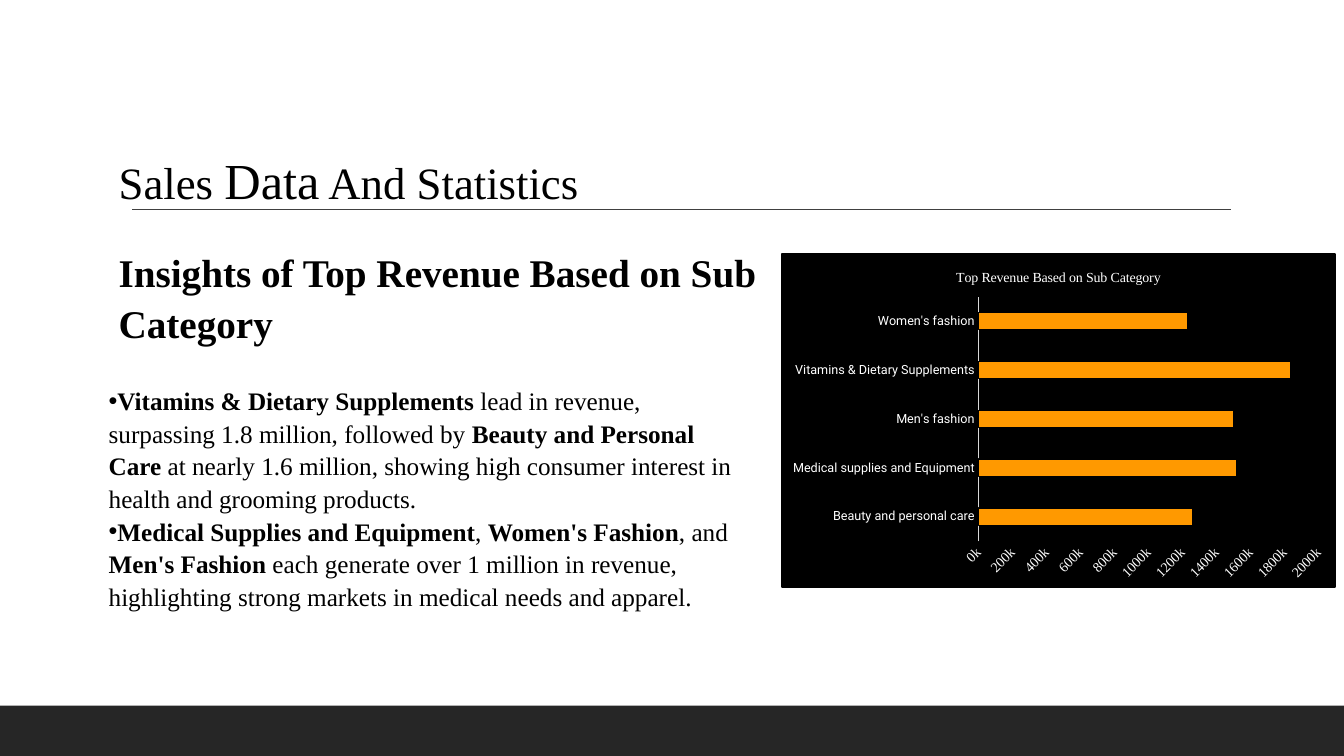
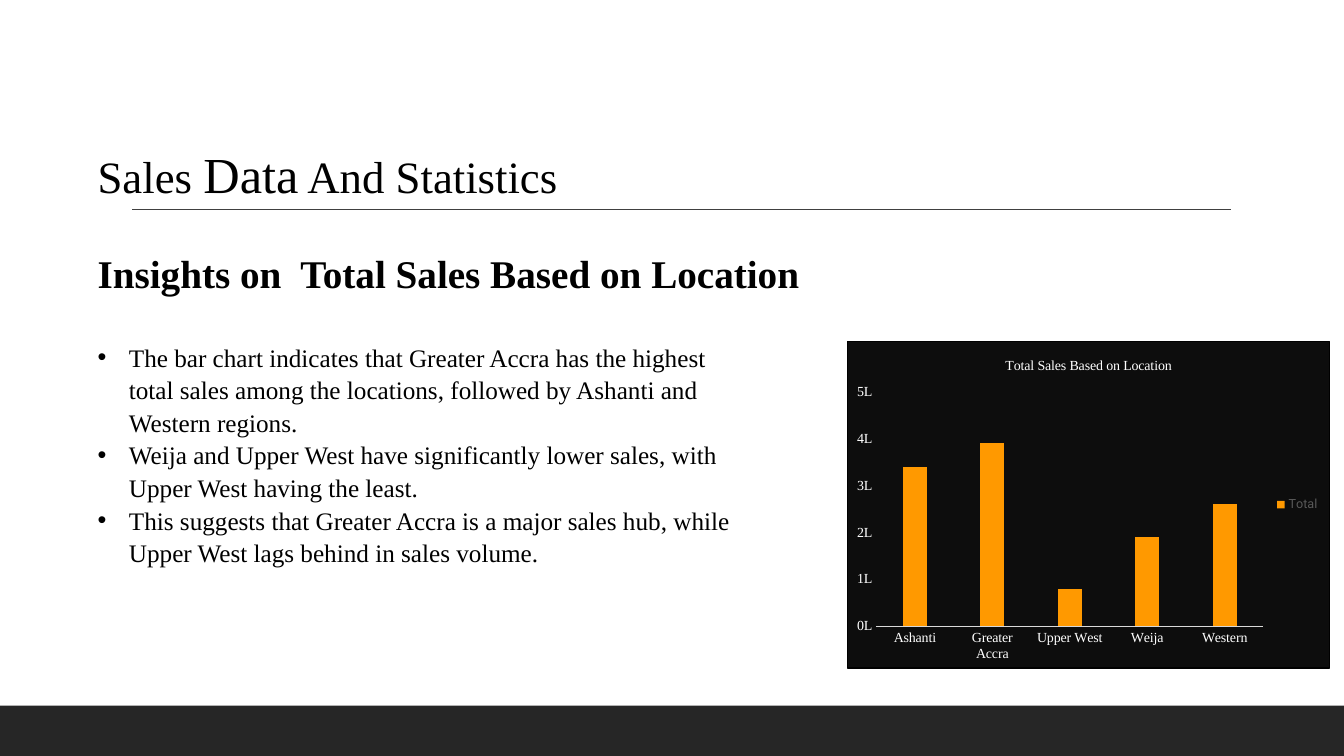
import pptx
import pptx.chart.data
import pptx.dml.color
import pptx.enum.chart
import pptx.enum.shapes
import pptx.oxml
import pptx.oxml.ns
import pptx.util
from lxml import etree

Cm = pptx.util.Cm
Pt = pptx.util.Pt
qn = pptx.oxml.ns.qn

SERIF = "Times New Roman"
SANS = "Roboto"
BLACK, WHITE, ORANGE = "000000", "FFFFFF", "FF9900"
BAND, RULE, AXIS, LEGEND = "262626", "404040", "D9D9D9", "595959"

BODY = {"name": SERIF, "size": Pt(18), "color": BLACK}
TITLE = {**BODY, "size": Pt(32)}
TITLE_LARGE = {**BODY, "size": Pt(36)}
HEADING = {**BODY, "size": Pt(28), "bold": True}
BOLD = {**BODY, "bold": True}
CHART_SERIF = {"name": SERIF, "size": Pt(10), "color": WHITE}
CHART_SANS = {**CHART_SERIF, "name": SANS, "size": Pt(9)}
CHART_BASE = {**CHART_SERIF, "name": SANS, "color": BLACK}
CHART_LEGEND = {**CHART_SANS, "color": LEGEND}


def rgb(value):
    return pptx.dml.color.RGBColor.from_string(value)


def set_font(font, values):
    for name, value in values.items():
        if name == "color":
            font.color.rgb = rgb(value)
        else:
            setattr(font, name, value)


def set_fill(fill, color):
    fill.solid()
    fill.fore_color.rgb = rgb(color)


def set_line(line, color, width):
    set_fill(line.fill, color)
    line.width = Pt(width)


def add_frame(slide):
    band = slide.shapes.add_shape(pptx.enum.shapes.MSO_SHAPE.RECTANGLE,
                                  Cm(0), Cm(17.78), Cm(33.87), Cm(1.27))
    band.shadow.inherit = False
    set_fill(band.fill, BAND)
    band.line.fill.background()
    rule = slide.shapes.add_connector(pptx.enum.shapes.MSO_CONNECTOR.STRAIGHT,
                                      Cm(3.33), Cm(5.28), Cm(31.01), Cm(5.28))
    set_line(rule.line, RULE, 1)
    etree.SubElement(rule._element.spPr, qn("a:effectLst"))


def add_bullet(paragraph, indent):
    properties = paragraph._p.get_or_add_pPr()
    properties.set("marL", str(Cm(indent)))
    properties.set("indent", str(-Cm(indent)))
    etree.SubElement(properties, qn("a:buFont"), typeface="Arial")
    etree.SubElement(properties, qn("a:buChar"), char="•")


def add_text(slide, box, paragraphs, bullet_indent=None):
    shape = slide.shapes.add_textbox(*map(Cm, box))
    frame = shape.text_frame
    frame.word_wrap = True
    for index, runs in enumerate(paragraphs):
        paragraph = frame.paragraphs[0] if index == 0 else frame.add_paragraph()
        if bullet_indent is not None:
            add_bullet(paragraph, bullet_indent)
        paragraph.line_spacing = 1.08
        for text, style in runs:
            run = paragraph.add_run()
            run.text = text
            set_font(run.font, style)


def add_title(slide, left, top):
    add_text(slide, (left, top, 16.94, 1.8),
             [[("Sales ", TITLE), ("Data", TITLE_LARGE), (" And Statistics", TITLE)]])


def set_chart_area(chart, color):
    area = pptx.oxml.parse_xml(
        f'<c:spPr {pptx.oxml.ns.nsdecls("c", "a")}>'
        f'<a:solidFill><a:srgbClr val="{color}"/></a:solidFill>'
        f'<a:ln w="{Pt(1)}"><a:solidFill><a:srgbClr val="{BLACK}"/></a:solidFill></a:ln>'
        '</c:spPr>')
    chart._chartSpace.find(qn("c:txPr")).addprevious(area)


def style_axis(axis, font):
    axis.has_major_gridlines = False
    axis.major_tick_mark = pptx.enum.chart.XL_TICK_MARK.NONE
    axis.minor_tick_mark = pptx.enum.chart.XL_TICK_MARK.NONE
    set_font(axis.tick_labels.font, font)


def add_chart(slide, box, kind, title, series_name, points, area_color,
              category_font, number_format, maximum, unit, gap):
    data = pptx.chart.data.CategoryChartData()
    data.categories = list(points)
    data.add_series(series_name, list(points.values()))
    chart = slide.shapes.add_chart(kind, *map(Cm, box), data).chart
    set_font(chart.font, CHART_BASE)
    set_chart_area(chart, area_color)
    chart.has_legend = False
    chart.has_title = True
    chart.chart_title.include_in_layout = False
    run = chart.chart_title.text_frame.paragraphs[0].add_run()
    run.text = title
    set_font(run.font, {**CHART_SERIF, "bold": False})

    style_axis(chart.category_axis, category_font)
    set_line(chart.category_axis.format.line, AXIS, 0.75)
    value_axis = chart.value_axis
    style_axis(value_axis, CHART_SERIF)
    value_axis.format.line.fill.background()
    value_axis.minimum_scale = 0
    value_axis.maximum_scale = maximum
    value_axis.major_unit = unit
    value_axis.tick_labels.number_format = number_format
    value_axis.tick_labels.number_format_is_linked = False

    plot = chart.plots[0]
    plot.vary_by_categories = False
    plot.gap_width = gap
    set_fill(plot.series[0].format.fill, ORANGE)
    return chart


def build_revenue_slide(slide):
    add_frame(slide)
    chart = add_chart(
        slide, (19.69, 6.38, 13.97, 8.43),
        pptx.enum.chart.XL_CHART_TYPE.BAR_CLUSTERED,
        "Top Revenue Based on Sub Category", "Series 1",
        {"Beauty and personal care": 1260000,
         "Medical supplies and Equipment": 1520000,
         "Men's fashion": 1500000,
         "Vitamins & Dietary Supplements": 1840000,
         "Women's fashion": 1230000},
        BLACK, CHART_SANS, '0,"k"', 2000000, 200000, 182)
    set_line(chart.plots[0].series[0].format.line, BLACK, 1)
    label_body = chart.value_axis._element.find(qn("c:txPr")).find(qn("a:bodyPr"))
    label_body.set("rot", "-2700000")

    add_text(slide, (2.49, 9.53, 16.21, 5.64), [
        [("Vitamins & Dietary Supplements", BOLD),
         (" lead in revenue, surpassing 1.8 million, followed by ", BODY),
         ("Beauty and Personal Care", BOLD),
         (" at nearly 1.6 million, showing high consumer interest in health "
          "and grooming products.", BODY)],
        [("Medical Supplies and Equipment", BOLD), (", ", BODY),
         ("Women's Fashion", BOLD), (", and ", BODY), ("Men's Fashion", BOLD),
         (" each generate over 1 million in revenue, highlighting strong "
          "markets in medical needs and apparel.", BODY)],
    ], bullet_indent=0)
    add_title(slide, 2.74, 3.51)
    add_text(slide, (2.74, 6.05, 16.94, 2.64),
             [[("Insights of Top Revenue Based on Sub Category", HEADING)]])


def build_location_slide(slide):
    add_frame(slide)
    chart = add_chart(
        slide, (21.34, 8.59, 12.19, 8.26),
        pptx.enum.chart.XL_CHART_TYPE.COLUMN_CLUSTERED,
        "Total Sales Based on Location", "Total",
        {"Ashanti": 3400000, "Greater Accra": 3900000, "Upper West": 800000,
         "Weija": 1900000, "Western": 2600000},
        "0D0D0D", CHART_SERIF, '0,,"L"', 5000000, 1000000, 219)
    chart.plots[0].overlap = -27
    chart.has_legend = True
    chart.legend.position = pptx.enum.chart.XL_LEGEND_POSITION.RIGHT
    chart.legend.include_in_layout = False
    set_font(chart.legend.font, CHART_LEGEND)

    add_title(slide, 2.21, 3.35)
    add_text(slide, (2.21, 6.07, 21.34, 1.45),
             [[("Insights on  Total Sales Based on Location", HEADING)]])
    insights = (
        "The bar chart indicates that Greater Accra has the highest total sales "
        "among the locations, followed by Ashanti and Western regions.",
        "Weija and Upper West have significantly lower sales, with Upper West "
        "having the least.",
        "This suggests that Greater Accra is a major sales hub, while Upper West "
        "lags behind in sales volume.",
    )
    add_text(slide, (2.21, 8.43, 16.94, 5.64),
             [[(insight, BODY)] for insight in insights], bullet_indent=0.79)


def main():
    presentation = pptx.Presentation()
    presentation.slide_width = Cm(33.87)
    presentation.slide_height = Cm(19.05)
    for build in (build_revenue_slide, build_location_slide):
        build(presentation.slides.add_slide(presentation.slide_layouts[6]))
    presentation.save("out.pptx")


if __name__ == "__main__":
    main()
